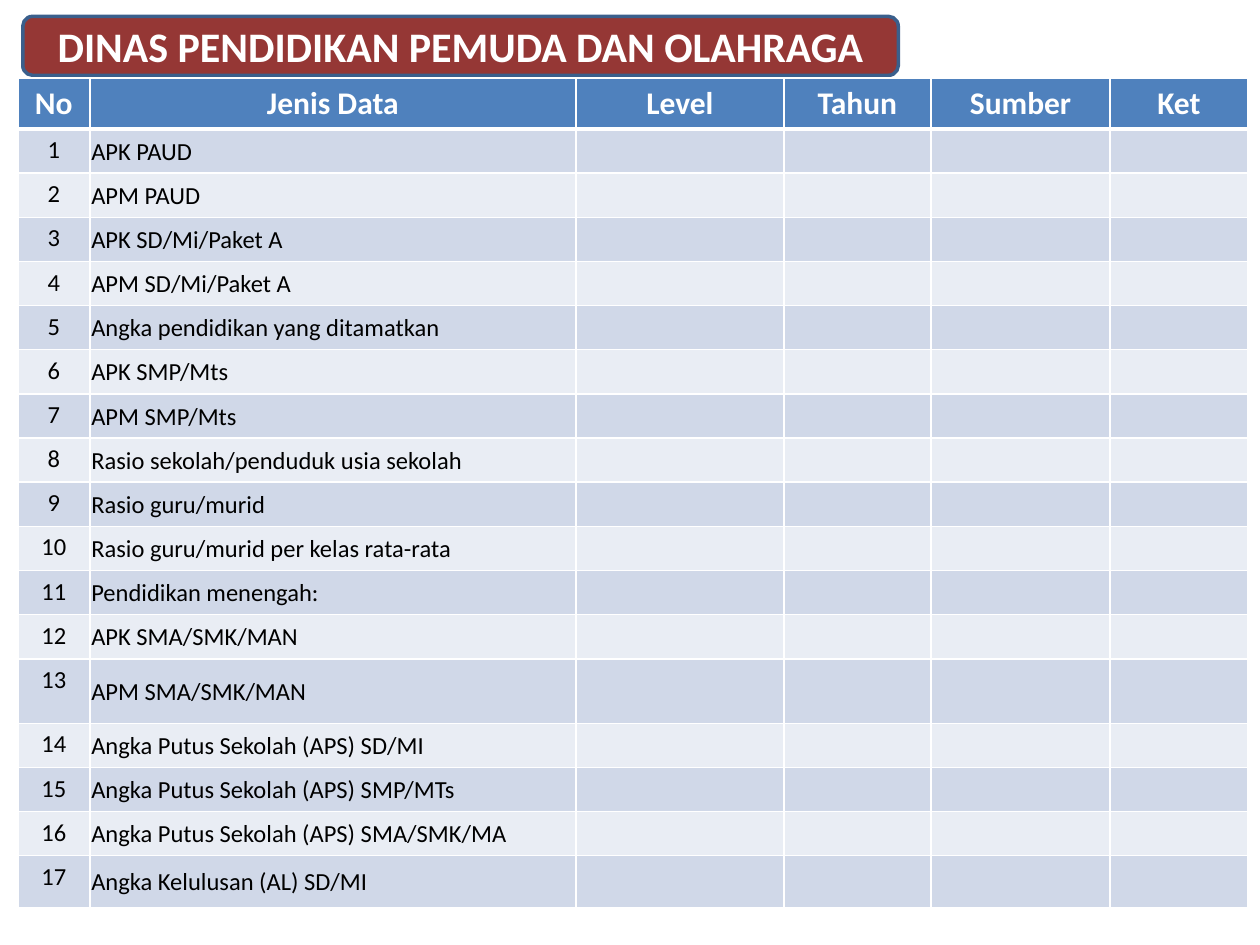
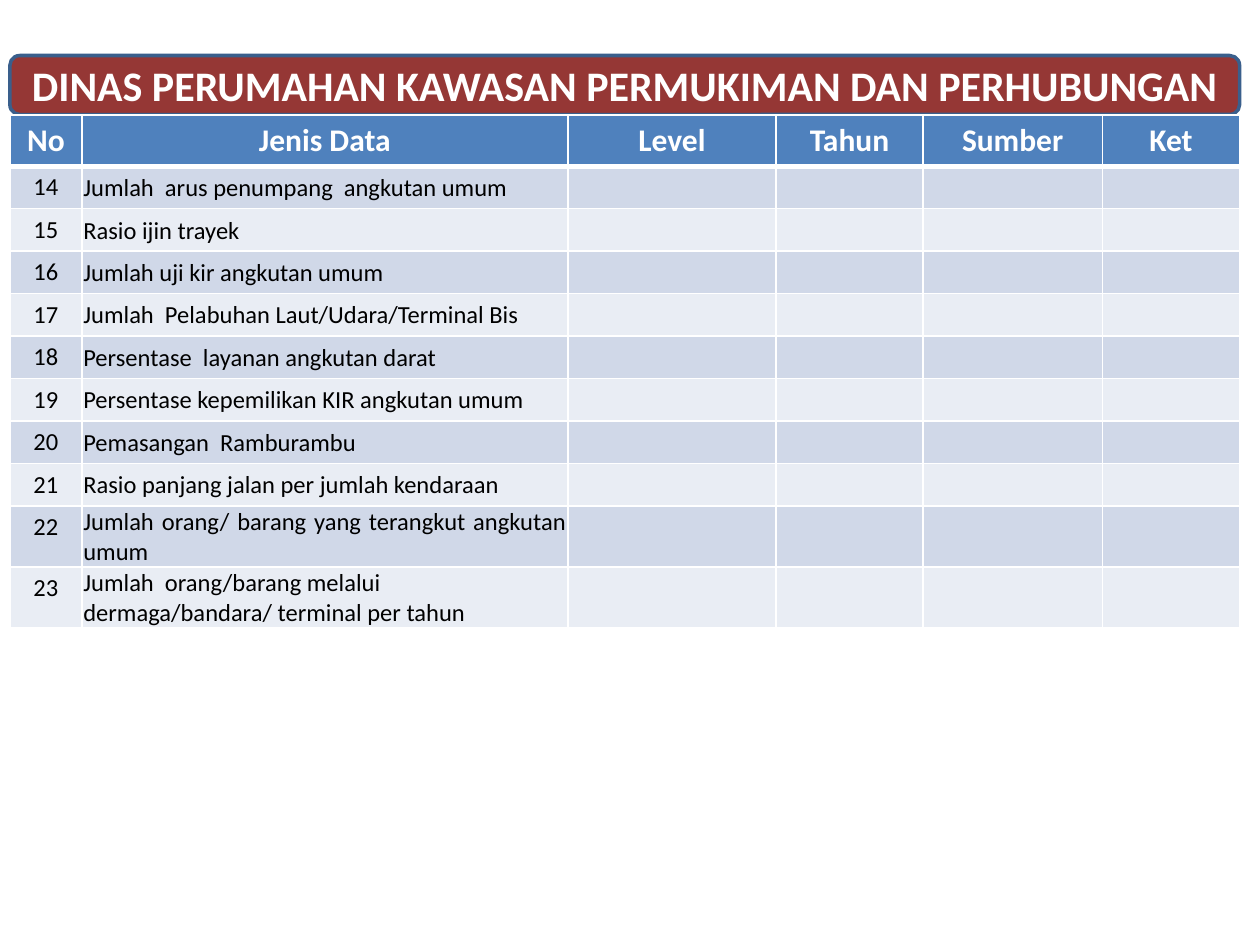
from dataclasses import dataclass, field

import lxml.etree
import pptx
import pptx.dml.color
import pptx.enum.shapes
import pptx.enum.text
import pptx.oxml.ns
import pptx.util
from pptx.util import Cm

COLOURS = {
    "band": "953735",
    "band_edge": "3A5F8C",
    "header": "4F81BD",
    "odd_row": "D0D8E8",
    "even_row": "E9EDF4",
    "white": "FFFFFF",
    "black": "000000",
}
FONT = "Calibri"
ALIGN = pptx.enum.text.PP_ALIGN
MIDDLE = pptx.enum.text.MSO_ANCHOR.MIDDLE

HEADINGS = ["No", "Jenis Data", "Level", "Tahun", "Sumber", "Ket"]
COLUMN_WIDTHS = [1.45, 9.8, 4.19, 2.97, 3.61, 2.77]
BAND_HEIGHT = 1.19
BODY_SIZE = 14


@dataclass
class Agency:
    """One slide: an agency name and its numbered data; lengths in cm."""
    name: str
    band_left: float
    band_top: float
    band_width: float
    table_left: float
    table_top: float
    header_height: float
    row_height: float
    first_number: int
    indicators: list[str]
    tall_rows: dict[int, float] = field(default_factory=dict)
    justified: set[int] = field(default_factory=set)


AGENCIES = [
    Agency(
        "DINAS PENDIDIKAN PEMUDA DAN OLAHRAGA",
        0.46, 0.33, 17.65, 0.36, 1.57, 0.97, 0.89, 1,
        [
            "APK PAUD",
            "APM PAUD",
            "APK SD/Mi/Paket A",
            "APM SD/Mi/Paket A",
            "Angka pendidikan yang ditamatkan",
            "APK SMP/Mts",
            "APM SMP/Mts",
            "Rasio sekolah/penduduk usia sekolah",
            "Rasio guru/murid",
            "Rasio guru/murid per kelas rata-rata",
            "Pendidikan menengah:",
            "APK SMA/SMK/MAN",
            "APM SMA/SMK/MAN",
            "Angka Putus Sekolah (APS) SD/MI",
            "Angka Putus Sekolah (APS) SMP/MTs",
            "Angka Putus Sekolah (APS) SMA/SMK/MA",
            "Angka Kelulusan (AL) SD/MI",
        ],
        tall_rows={13: 1.3, 17: 1.04},
    ),
    Agency(
        "DINAS PERUMAHAN KAWASAN PERMUKIMAN DAN PERHUBUNGAN",
        0.2, 1.12, 24.79, 0.2, 2.32, 0.91, 0.84, 14,
        [
            "Jumlah  arus penumpang  angkutan umum",
            "Rasio ijin trayek",
            "Jumlah uji kir angkutan umum",
            "Jumlah  Pelabuhan Laut/Udara/Terminal Bis",
            "Persentase  layanan angkutan darat",
            "Persentase kepemilikan KIR angkutan umum",
            "Pemasangan  Ramburambu",
            "Rasio panjang jalan per jumlah kendaraan",
            "Jumlah orang/ barang yang terangkut angkutan umum",
            "Jumlah  orang/barang melalui dermaga/bandara/ terminal per tahun",
        ],
        justified={19, 21, 22},
    ),
]


def rgb(name: str) -> pptx.dml.color.RGBColor:
    return pptx.dml.color.RGBColor.from_string(COLOURS[name])


def write(frame, text: str, *, size: int = BODY_SIZE, colour: str = "black",
          bold: bool = False, align=ALIGN.LEFT) -> None:
    """Fill a text frame with one formatted paragraph."""
    paragraph = frame.paragraphs[0]
    paragraph.alignment = align
    run = paragraph.add_run()
    run.text = text
    run.font.name = FONT
    run.font.size = pptx.util.Pt(size)
    run.font.bold = bold
    run.font.color.rgb = rgb(colour)


def style_cell(cell, fill: str, top: int = 1, bottom: int = 1) -> None:
    """Give a cell white borders (widths in points) and a solid fill."""
    properties = cell._tc.get_or_add_tcPr()
    qn = pptx.oxml.ns.qn
    for side, width in (("L", 1), ("R", 1), ("T", top), ("B", bottom)):
        line = lxml.etree.SubElement(properties, qn(f"a:ln{side}"),
                                     w=str(pptx.util.Pt(width)))
        solid = lxml.etree.SubElement(line, qn("a:solidFill"))
        lxml.etree.SubElement(solid, qn("a:srgbClr"), val=COLOURS["white"])
    cell.fill.solid()
    cell.fill.fore_color.rgb = rgb(fill)


def set_empty_size(cell, size: int) -> None:
    """Keep an empty cell from stretching its row."""
    lxml.etree.SubElement(cell.text_frame.paragraphs[0]._p,
                          pptx.oxml.ns.qn("a:endParaRPr"), sz=str(size * 100))


def add_title_band(slide, agency: Agency) -> None:
    box = (Cm(agency.band_left), Cm(agency.band_top),
           Cm(agency.band_width), Cm(BAND_HEIGHT))
    band = slide.shapes.add_shape(
        pptx.enum.shapes.MSO_SHAPE.ROUNDED_RECTANGLE, *box)
    band.shadow.inherit = False
    band.fill.solid()
    band.fill.fore_color.rgb = rgb("band")
    band.line.color.rgb = rgb("band_edge")
    band.line.width = pptx.util.Pt(2)

    # The title lies on top of its band
    title = slide.shapes.title
    band._element.addnext(title._element)
    title.left, title.top, title.width, title.height = box
    frame = title.text_frame
    frame.auto_size = pptx.enum.text.MSO_AUTO_SIZE.NONE
    frame.word_wrap = True
    frame.vertical_anchor = MIDDLE
    frame.margin_left = frame.margin_right = 0
    frame.margin_top = frame.margin_bottom = 0
    write(frame, agency.name, size=24, colour="white", bold=True,
          align=ALIGN.CENTER)


def add_indicator_table(slide, agency: Agency) -> None:
    numbers = range(agency.first_number,
                    agency.first_number + len(agency.indicators))
    heights = [agency.header_height] + [
        agency.tall_rows.get(number, agency.row_height) for number in numbers]
    table = slide.shapes.add_table(
        len(heights), len(HEADINGS), Cm(agency.table_left),
        Cm(agency.table_top), Cm(sum(COLUMN_WIDTHS)), Cm(sum(heights))).table
    for column, width in zip(table.columns, COLUMN_WIDTHS):
        column.width = Cm(width)
    for row, height in zip(table.rows, heights):
        row.height = Cm(height)

    # Header row
    for cell, heading in zip(table.rows[0].cells, HEADINGS):
        style_cell(cell, "header", bottom=3)
        write(cell.text_frame, heading, size=18, colour="white", bold=True,
              align=ALIGN.CENTER)

    # Numbered rows, with the last four columns left open
    for index, (number, indicator) in enumerate(
            zip(numbers, agency.indicators), start=1):
        cells = list(table.rows[index].cells)
        for cell in cells:
            style_cell(cell, "odd_row" if index % 2 else "even_row",
                       top=3 if index == 1 else 1)
        number_cell, indicator_cell, *open_cells = cells
        write(number_cell.text_frame, str(number), align=ALIGN.CENTER)
        indicator_cell.vertical_anchor = MIDDLE
        indicator_cell.margin_left = indicator_cell.margin_right = Cm(0.03)
        indicator_cell.margin_top = Cm(0.03)
        indicator_cell.margin_bottom = 0
        write(indicator_cell.text_frame, indicator,
              align=ALIGN.JUSTIFY if number in agency.justified
              else ALIGN.LEFT)
        for cell in open_cells:
            set_empty_size(cell, BODY_SIZE)


def main() -> None:
    deck = pptx.Presentation()
    deck.slide_width, deck.slide_height = Cm(25.4), Cm(19.05)
    title_only = deck.slide_layouts[5]
    for agency in AGENCIES:
        slide = deck.slides.add_slide(title_only)
        add_title_band(slide, agency)
        add_indicator_table(slide, agency)
    deck.save("out.pptx")


if __name__ == "__main__":
    main()
